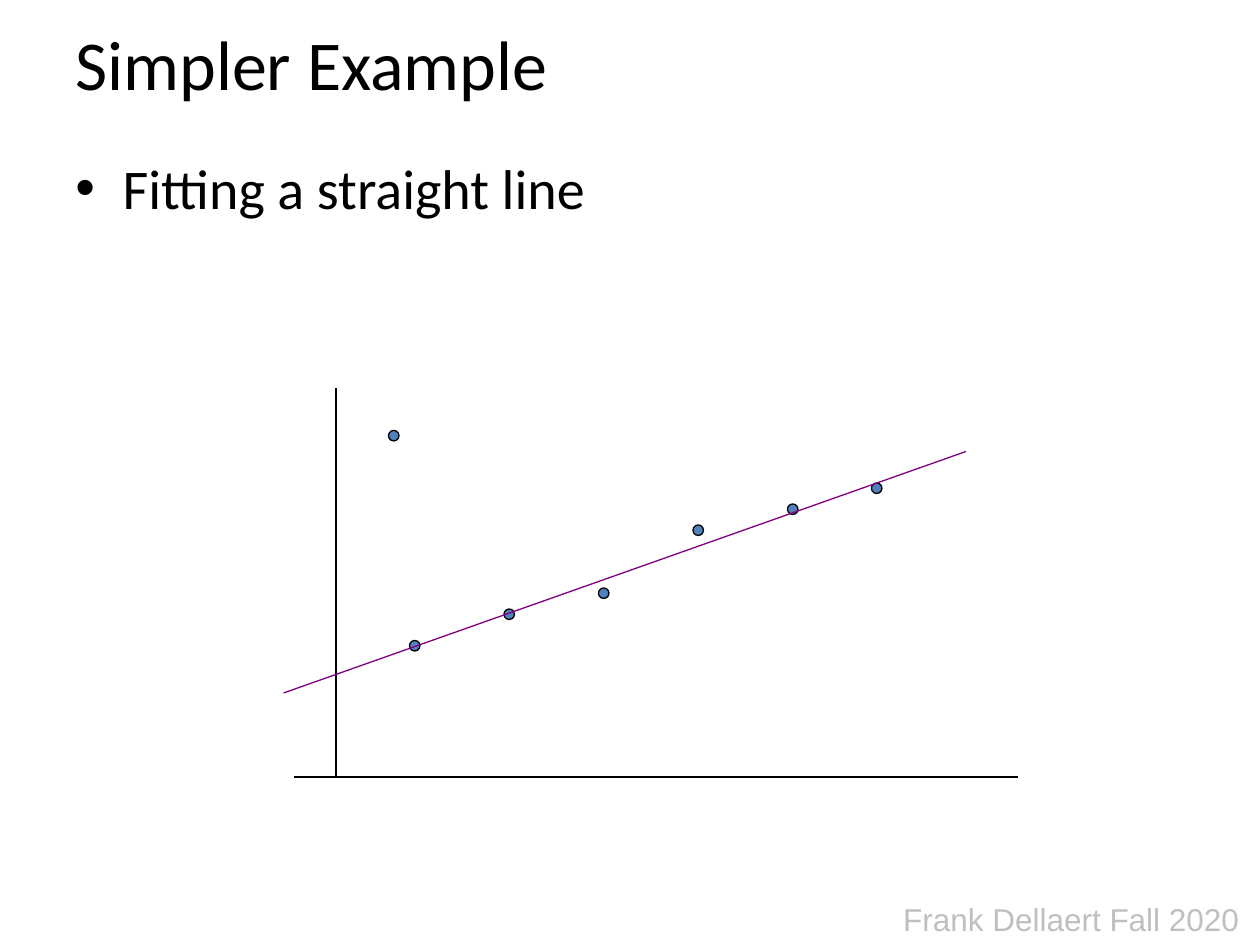
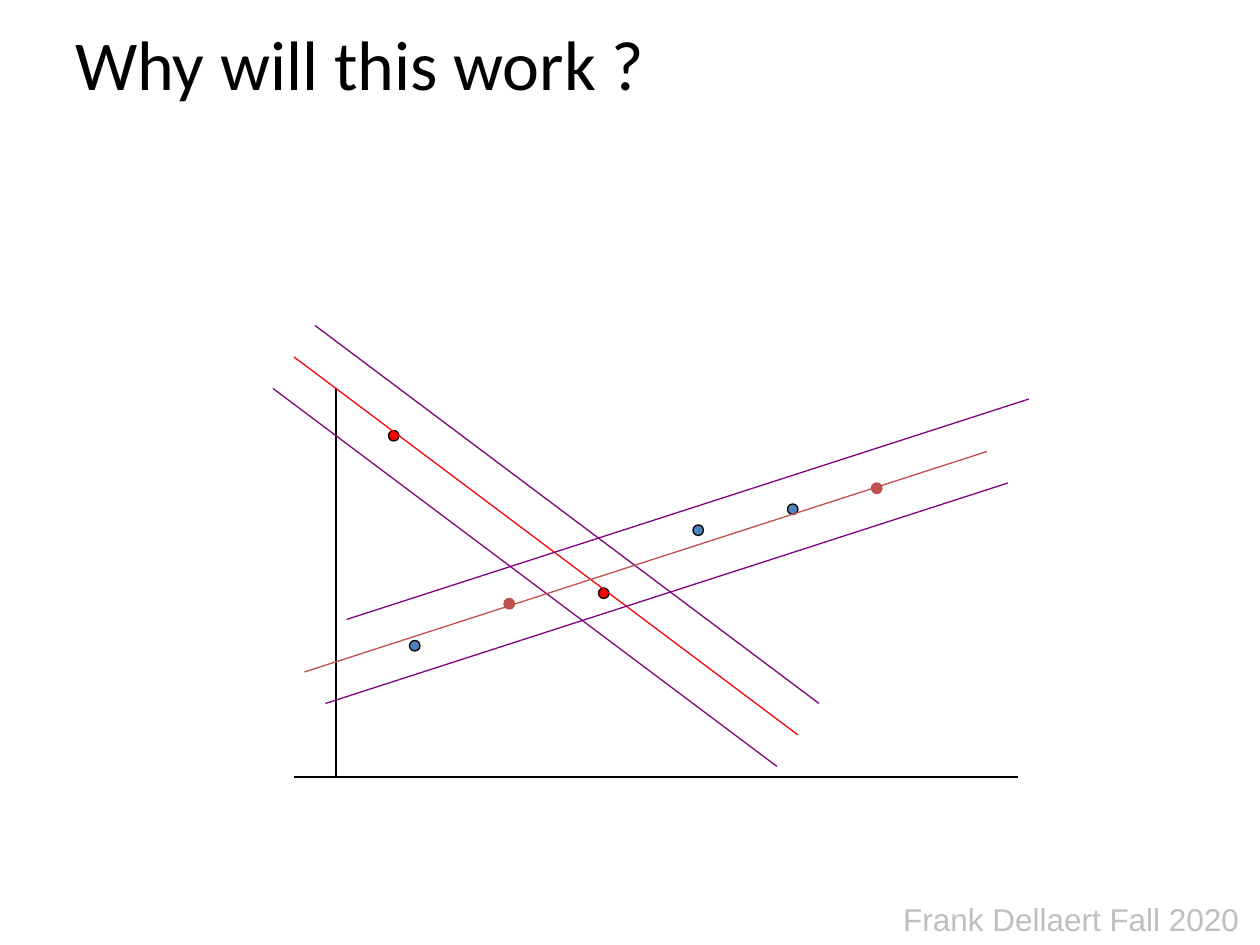
from dataclasses import dataclass

import lxml.etree
import pptx
import pptx.dml.color
import pptx.enum.shapes
import pptx.enum.text
import pptx.oxml.ns
import pptx.util

Pt = pptx.util.Pt
RGB = pptx.dml.color.RGBColor.from_string
qn = pptx.oxml.ns.qn


@dataclass(frozen=True)
class Theme:
    text: str = "000000"
    footer: str = "BFBFBF"
    point: str = "4F81BD"
    inlier: str = "C0504D"
    outlier: str = "FF0000"
    margin: str = "800080"
    heading_font: str = "Calibri"
    footer_font: str = "Arial"
    title_size: int = 40
    body_size: int = 32
    footer_size: int = 18
    line_width: float = 0.75
    dot_size: int = 6


THEME = Theme()

# Boxes are left, top, width, height in points.
SLIDE_WIDTH, SLIDE_HEIGHT = 720, 540
TITLE_BOX = (36, 0, 648, 72)
BODY_BOX = (36, 84.4, 648, 398)
FOOTER_BOX = (509, 511, 208, 29)
PLOT_BOX = (168, 222, 414, 222)

# Dot corners and line ends are measured from the plot's top left corner.
LOW_DOT = (66, 144)
SECOND_DOT = (120, 126)
SECOND_DOT_NEAR_LINE = (120, 120)
MIDDLE_DOT = (174, 114)
UPPER_DOTS = [(228, 78), (282, 66)]
LAST_DOT = (330, 54)
STRAY_DOT = (54, 24)


def add_text(slide, box, text, size, color, font, wrap=True):
    shape = slide.shapes.add_textbox(*map(Pt, box))
    shape.text_frame.word_wrap = wrap
    paragraph = shape.text_frame.paragraphs[0]
    run = paragraph.add_run()
    run.text = text
    run.font.size = Pt(size)
    run.font.name = font
    run.font.color.rgb = RGB(color)
    return shape


def add_title(slide, box, text):
    shape = add_text(slide, box, text, THEME.title_size, THEME.text, THEME.heading_font)
    shape.text_frame.vertical_anchor = pptx.enum.text.MSO_ANCHOR.MIDDLE


def add_bullet(slide, box, text):
    shape = add_text(slide, box, text, THEME.body_size, THEME.text, THEME.heading_font)
    properties = shape.text_frame.paragraphs[0]._p.get_or_add_pPr()
    properties.set("marL", str(Pt(27)))
    properties.set("indent", str(Pt(-27)))
    bullet_font = lxml.etree.SubElement(properties, qn("a:buFont"))
    bullet_font.set("typeface", "Arial")
    bullet = lxml.etree.SubElement(properties, qn("a:buChar"))
    bullet.set("char", "•")


def add_footer(slide, box):
    shape = add_text(slide, box, "Frank Dellaert Fall 2020", THEME.footer_size,
                     THEME.footer, THEME.footer_font, wrap=False)
    shape.text_frame.auto_size = pptx.enum.text.MSO_AUTO_SIZE.SHAPE_TO_FIT_TEXT


def add_line(shapes, box, start, end, color):
    left, top = box[:2]
    connector = shapes.add_connector(
        pptx.enum.shapes.MSO_CONNECTOR.STRAIGHT,
        Pt(left + start[0]), Pt(top + start[1]), Pt(left + end[0]), Pt(top + end[1]))
    connector.line.color.rgb = RGB(color)
    connector.line.width = Pt(THEME.line_width)
    lxml.etree.SubElement(connector._element.spPr, qn("a:effectLst"))


def add_axes(slide, box):
    width, height = box[2:]
    add_line(slide.shapes, box, (24, 0), (24, height), THEME.text)
    add_line(slide.shapes, box, (0, height), (width, height), THEME.text)


def add_dots(slide, box, corners, fill, outline=THEME.text):
    left, top = box[:2]
    for x, y in corners:
        dot = slide.shapes.add_shape(
            pptx.enum.shapes.MSO_SHAPE.OVAL, Pt(left + x), Pt(top + y),
            Pt(THEME.dot_size), Pt(THEME.dot_size))
        dot.shadow.inherit = False
        dot.fill.solid()
        dot.fill.fore_color.rgb = RGB(fill)
        dot.line.color.rgb = RGB(outline)
        dot.line.width = Pt(THEME.line_width)


def add_band(slide, box, direction, starts_and_colors):
    """Group parallel lines: a candidate fit and its two margins."""
    group = slide.shapes.add_group_shape()
    for (x, y), color in starts_and_colors:
        end = (x + direction[0], y + direction[1])
        add_line(group.shapes, box, (x, y), end, color)


def add_slide(presentation, title):
    slide = presentation.slides.add_slide(presentation.slide_layouts[6])
    add_footer(slide, FOOTER_BOX)
    add_title(slide, TITLE_BOX, title)
    return slide


def build_line_fit(presentation):
    slide = add_slide(presentation, "Simpler Example")
    add_bullet(slide, BODY_BOX, "Fitting a straight line")
    add_axes(slide, PLOT_BOX)
    dots = [LOW_DOT, SECOND_DOT, MIDDLE_DOT, *UPPER_DOTS, LAST_DOT, STRAY_DOT]
    add_dots(slide, PLOT_BOX, dots, THEME.point)
    add_line(slide.shapes, PLOT_BOX, (-6, 174), (384, 36), THEME.margin)


def build_candidate_comparison(presentation):
    slide = add_slide(presentation, "Why will this work ?")
    add_axes(slide, PLOT_BOX)
    add_dots(slide, PLOT_BOX, [LOW_DOT, *UPPER_DOTS], THEME.point)
    add_dots(slide, PLOT_BOX, [SECOND_DOT_NEAR_LINE, LAST_DOT], THEME.inlier, THEME.inlier)
    add_dots(slide, PLOT_BOX, [MIDDLE_DOT, STRAY_DOT], THEME.outlier)
    add_band(slide, PLOT_BOX, (-288, -216), [
        ((276, 216), THEME.margin),
        ((288, 198), THEME.outlier),
        ((300, 180), THEME.margin),
    ])
    add_band(slide, PLOT_BOX, (390, -126), [
        ((6, 162), THEME.inlier),
        ((18, 180), THEME.margin),
        ((30, 132), THEME.margin),
    ])


def main():
    presentation = pptx.Presentation()
    presentation.slide_width = Pt(SLIDE_WIDTH)
    presentation.slide_height = Pt(SLIDE_HEIGHT)
    build_line_fit(presentation)
    build_candidate_comparison(presentation)
    presentation.save("out.pptx")


if __name__ == "__main__":
    main()
